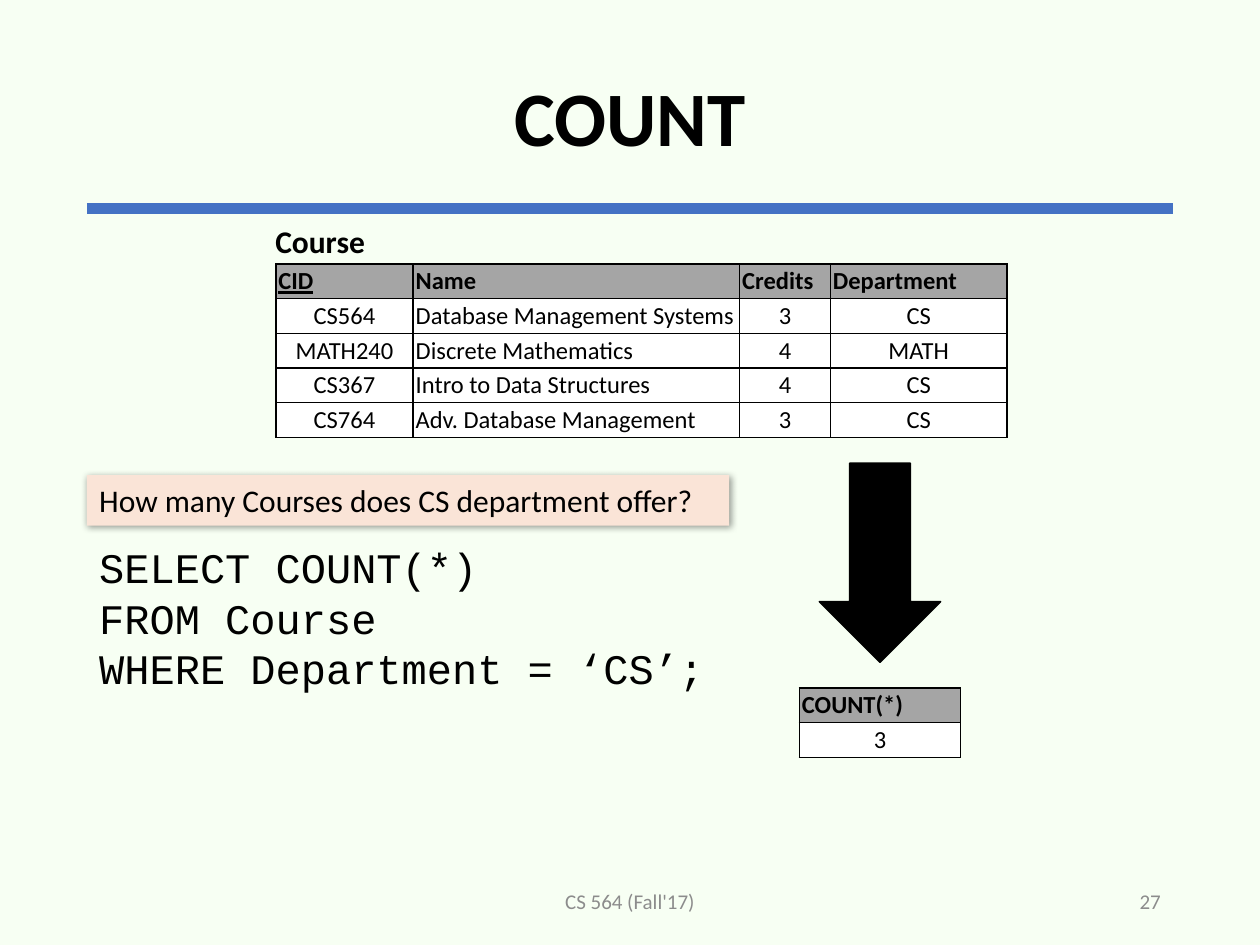
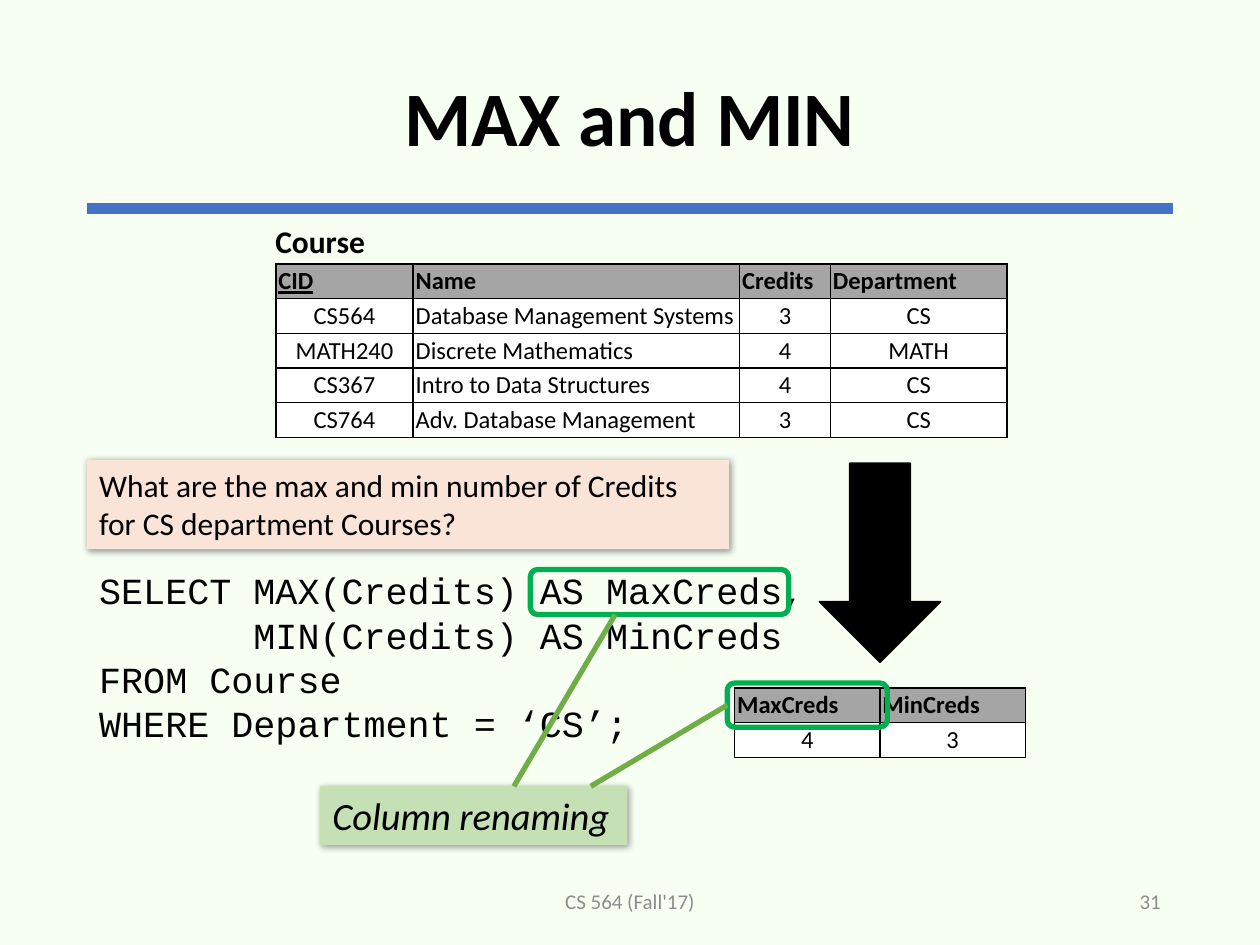
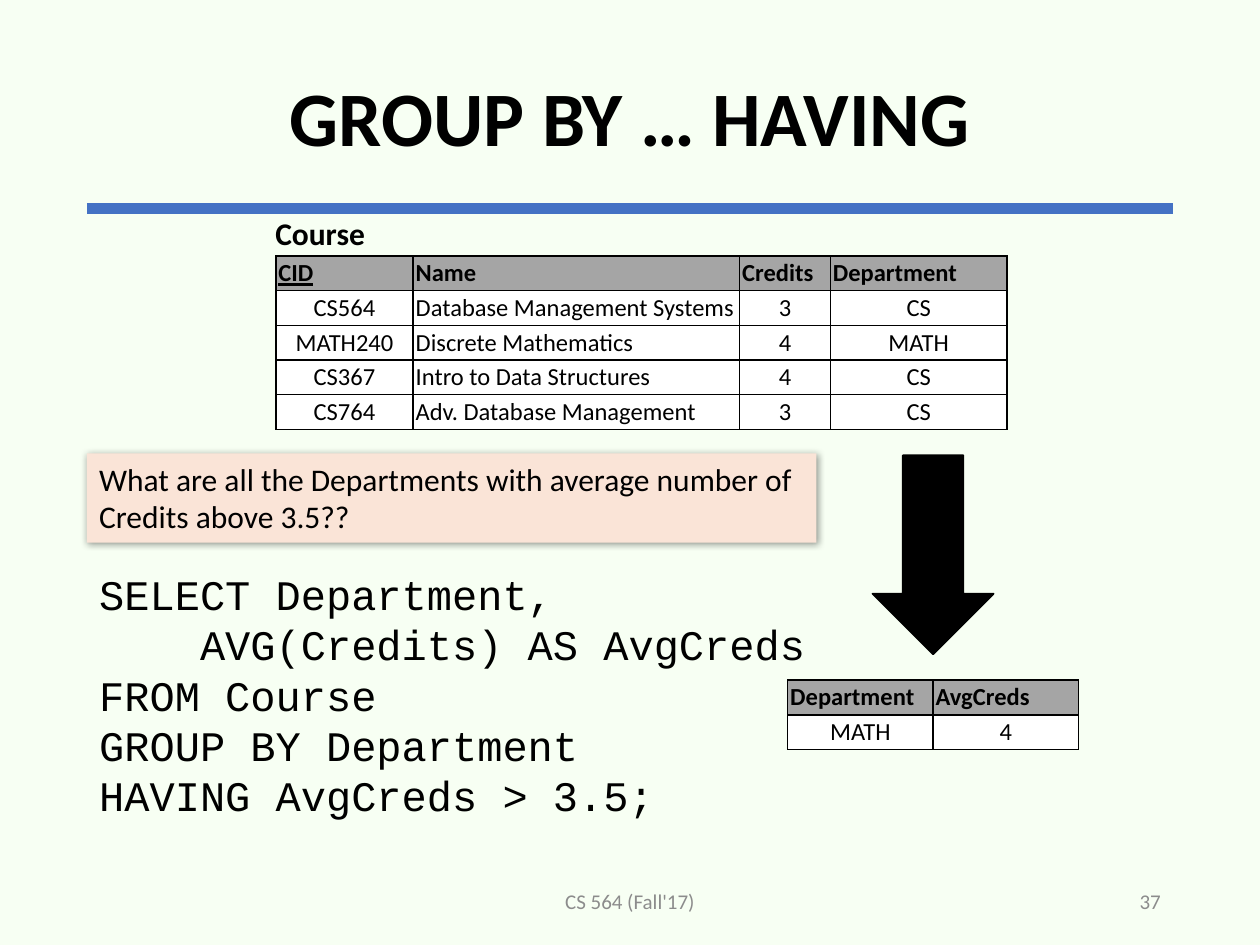
import pptx
import pptx.util
import pptx.dml.color
import pptx.enum.shapes
import pptx.enum.text
import pptx.oxml
import pptx.oxml.ns
from lxml import etree

Cm, Pt = pptx.util.Cm, pptx.util.Pt
ALIGN = pptx.enum.text.PP_ALIGN
ANCHOR = pptx.enum.text.MSO_ANCHOR
SHAPE = pptx.enum.shapes.MSO_SHAPE
STRAIGHT = pptx.enum.shapes.MSO_CONNECTOR.STRAIGHT

FOOTER = "CS 564 (Fall'17)"
COURSES = [
    ("CID", "Name", "Credits", "Department"),
    ("CS564", "Database Management Systems", "3", "CS"),
    ("MATH240", "Discrete Mathematics", "4", "MATH"),
    ("CS367", "Intro to Data Structures", "4", "CS"),
    ("CS764", "Adv. Database Management", "3", "CS"),
]
SLIDES = [
    dict(title="COUNT", number="27",
         question="How many Courses does CS department offer?",
         question_box=(9.58, 12.95, 1.02),
         query=["SELECT COUNT(*)", "FROM Course", "WHERE Department = ‘CS’;"],
         query_top=10.8, query_size=24, courses_top=5.32,
         result=[("COUNT(*)",), ("3",)], result_column=3.25, result_center=17.74),
    dict(title="MAX and MIN", number="31",
         question="What are the max and min number of Credits for CS department Courses?",
         question_box=(9.27, 12.95, 1.8),
         query=["SELECT MAX(Credits) AS MaxCreds,", "       MIN(Credits) AS MinCreds",
                "FROM Course", "WHERE Department = ‘CS’;"],
         query_top=11.33, query_size=21, courses_top=5.32,
         result=[("MaxCreds", "MinCreds"), ("4", "3")],
         result_column=2.93, result_center=17.74,
         renaming=dict(text="Column renaming", label=(6.45, 15.85, 6.2, 1.19),
                       alias=(10.69, 11.48, 5.21, 0.91), header=(14.66, 13.77, 3.23, 0.89),
                       alias_line=(12.4, 10.36), header_line_end=11.91)),
    dict(title="GROUP BY … HAVING", number="37",
         question="What are all the Departments with average number of Credits above 3.5??",
         question_box=(9.14, 14.71, 1.8),
         query=["SELECT Department,", "    AVG(Credits) AS AvgCreds", "FROM Course",
                "GROUP BY Department", "HAVING AvgCreds > 3.5;"],
         query_top=11.33, query_size=24, courses_top=5.16,
         result=[("Department", "AvgCreds"), ("MATH", "4")],
         result_column=2.93, result_center=18.81),
]

THEME = dict(
    background="F7FFF3", rule="4472C4", ink="000000", muted="8C8C8C", header="A5A5A5",
    cell="FFFFFF", question="FAE4D7", note="C5E0B4", frame="00B050", link="70AD47",
    text_font="Calibri", code_font="Courier New",
    title_size=44, body_size=18, cell_size=14, footer_size=12, note_size=22,
)
MARGIN, CONTENT_WIDTH, RULE_TOP = 1.75, 21.9, 4.2
COURSES_LEFT, COURSE_COLUMNS, ROW_HEIGHT = 5.56, (2.77, 6.58, 1.83, 3.56), 0.7
ARROW_WIDTH, ARROW_HEIGHT, ARROW_GAP = 2.44, 4.01, 0.52
CELL_INSET = Cm(0.05)


def color(name):
    return pptx.dml.color.RGBColor.from_string(THEME[name])


def apply(target, **values):
    for key, value in values.items():
        setattr(target, key, value)


def write(frame, lines, size, ink="ink", font="text_font", align=ALIGN.LEFT, **style):
    for index, line in enumerate(lines):
        paragraph = frame.paragraphs[0] if index == 0 else frame.add_paragraph()
        paragraph.alignment = align
        run = paragraph.add_run()
        run.text = line
        apply(run.font, name=THEME[font], size=Pt(size), **style)
        run.font.color.rgb = color(ink)


def add_text(slide, box, lines, size, anchor=ANCHOR.TOP, wrap=True, **style):
    frame = slide.shapes.add_textbox(*map(Cm, box)).text_frame
    apply(frame, word_wrap=wrap, vertical_anchor=anchor)
    write(frame, lines, size, **style)


def add_figure(slide, kind, box, fill=None, line=None, width=1):
    figure = slide.shapes.add_shape(kind, *map(Cm, box))
    figure.shadow.inherit = False
    for part, name in ((figure.fill, fill), (figure.line.fill, line)):
        if name:
            part.solid()
            part.fore_color.rgb = color(name)
        else:
            part.background()
    if line:
        figure.line.width = Pt(width)
    return figure


def add_callout(slide, box, fill, text, size, **style):
    callout = add_figure(slide, SHAPE.RECTANGLE, box, fill)
    apply(callout.text_frame, word_wrap=True, vertical_anchor=ANCHOR.TOP)
    write(callout.text_frame, [text], size, **style)
    effects = callout._element.spPr.find(pptx.oxml.ns.qn("a:effectLst"))
    effects.append(pptx.oxml.parse_xml(
        f'<a:outerShdw {pptx.oxml.ns.nsdecls("a")} blurRad="{Pt(4)}" dist="{Pt(1)}" '
        f'dir="2700000" algn="tl" rotWithShape="0"><a:srgbClr val="{THEME["ink"]}">'
        '<a:alpha val="40000"/></a:srgbClr></a:outerShdw>'))


def add_line(slide, ends, ink, width):
    line = slide.shapes.add_connector(STRAIGHT, *map(Cm, ends))
    line.line.color.rgb = color(ink)
    line.line.width = Pt(width)
    etree.SubElement(line._element.spPr, pptx.oxml.ns.qn("a:effectLst"))
    return line


def add_borders(cell):
    properties = cell._tc.get_or_add_tcPr()
    for position, side in enumerate(("lnL", "lnR", "lnT", "lnB")):
        properties.insert(position, pptx.oxml.parse_xml(
            f'<a:{side} {pptx.oxml.ns.nsdecls("a")} w="{Pt(1)}"><a:solidFill>'
            f'<a:srgbClr val="{THEME["ink"]}"/></a:solidFill></a:{side}>'))


def add_grid(slide, left, top, columns, rows):
    height = ROW_HEIGHT * len(rows)
    grid = slide.shapes.add_table(
        len(rows), len(columns), *map(Cm, (left, top, sum(columns), height))).table
    apply(grid, first_row=False, horz_banding=False)
    for column, width in zip(grid.columns, columns):
        column.width = Cm(width)
    for r, row in enumerate(rows):
        grid.rows[r].height = Cm(ROW_HEIGHT)
        for c, value in enumerate(row):
            cell = grid.cell(r, c)
            is_header = r == 0
            apply(cell, margin_left=CELL_INSET, margin_right=CELL_INSET,
                  margin_top=CELL_INSET, margin_bottom=CELL_INSET)
            cell.fill.solid()
            cell.fill.fore_color.rgb = color("header" if is_header else "cell")
            left_aligned = is_header or rows[0][c] == "Name"
            write(cell.text_frame, [value], THEME["cell_size"], bold=is_header,
                  underline=value == "CID",
                  align=ALIGN.LEFT if left_aligned else ALIGN.CENTER)
            add_borders(cell)
    return top + height


def add_base(deck, title, number):
    slide = deck.slides.add_slide(deck.slide_layouts[5])
    add_line(slide, (MARGIN, RULE_TOP, MARGIN + CONTENT_WIDTH, RULE_TOP), "rule", 6)
    heading = slide.shapes.title
    apply(heading, left=Cm(MARGIN), top=Cm(0.61), width=Cm(CONTENT_WIDTH), height=Cm(3.68))
    apply(heading.text_frame, word_wrap=True, vertical_anchor=ANCHOR.MIDDLE)
    write(heading.text_frame, [title], THEME["title_size"], align=ALIGN.CENTER, bold=True)
    heading.text_frame.paragraphs[0].line_spacing = 0.9
    for left, width, text, align in ((8.41, 8.58, FOOTER, ALIGN.CENTER),
                                     (17.93, 5.72, number, ALIGN.RIGHT)):
        add_text(slide, (left, 17.65, width, 1.02), [text], THEME["footer_size"],
                 ANCHOR.MIDDLE, ink="muted", align=align)
    return slide


def add_renaming(slide, text, label, alias, header, alias_line, header_line_end):
    add_callout(slide, label, "note", text, THEME["note_size"], italic=True)
    alias_frame, header_frame = (
        add_figure(slide, SHAPE.ROUNDED_RECTANGLE, box, line="frame", width=3)
        for box in (alias, header))
    start, end = alias_line
    label_top = label[1]
    add_line(slide, (start, alias[1] + alias[3], end, label_top), "link", 3)
    header_line = add_line(
        slide, (header[0], header[1] + header[3] / 2, header_line_end, label_top), "link", 3)
    header_line.begin_connect(header_frame, 1)


def add_query_slide(deck, content):
    slide = add_base(deck, content["title"], content["number"])
    query = content["query"]
    add_text(slide, (MARGIN, content["query_top"], 15.24, 0.25 + 1.04 * len(query)),
             query, content["query_size"], font="code_font")

    courses_top = content["courses_top"]
    courses_bottom = add_grid(slide, COURSES_LEFT, courses_top, COURSE_COLUMNS, COURSES)
    add_text(slide, (5.3, courses_top - 0.97, 2.57, 1.02), ["Course"], THEME["body_size"],
             wrap=False, bold=True)

    center = content["result_center"]
    arrow_top = courses_bottom + ARROW_GAP
    add_figure(slide, SHAPE.DOWN_ARROW,
               (center - ARROW_WIDTH / 2, arrow_top, ARROW_WIDTH, ARROW_HEIGHT), "ink", "ink")
    columns = [content["result_column"]] * len(content["result"][0])
    add_grid(slide, center - sum(columns) / 2, arrow_top + ARROW_HEIGHT + ARROW_GAP,
             columns, content["result"])

    top, width, height = content["question_box"]
    add_callout(slide, (MARGIN, top, width, height), "question", content["question"],
                THEME["body_size"])
    if "renaming" in content:
        add_renaming(slide, **content["renaming"])


def main():
    deck = pptx.Presentation()
    apply(deck, slide_width=Cm(25.4), slide_height=Cm(19.05))
    background = deck.slide_master.background.fill
    background.solid()
    background.fore_color.rgb = color("background")
    for content in SLIDES:
        add_query_slide(deck, content)
    deck.save("out.pptx")


if __name__ == "__main__":
    main()
